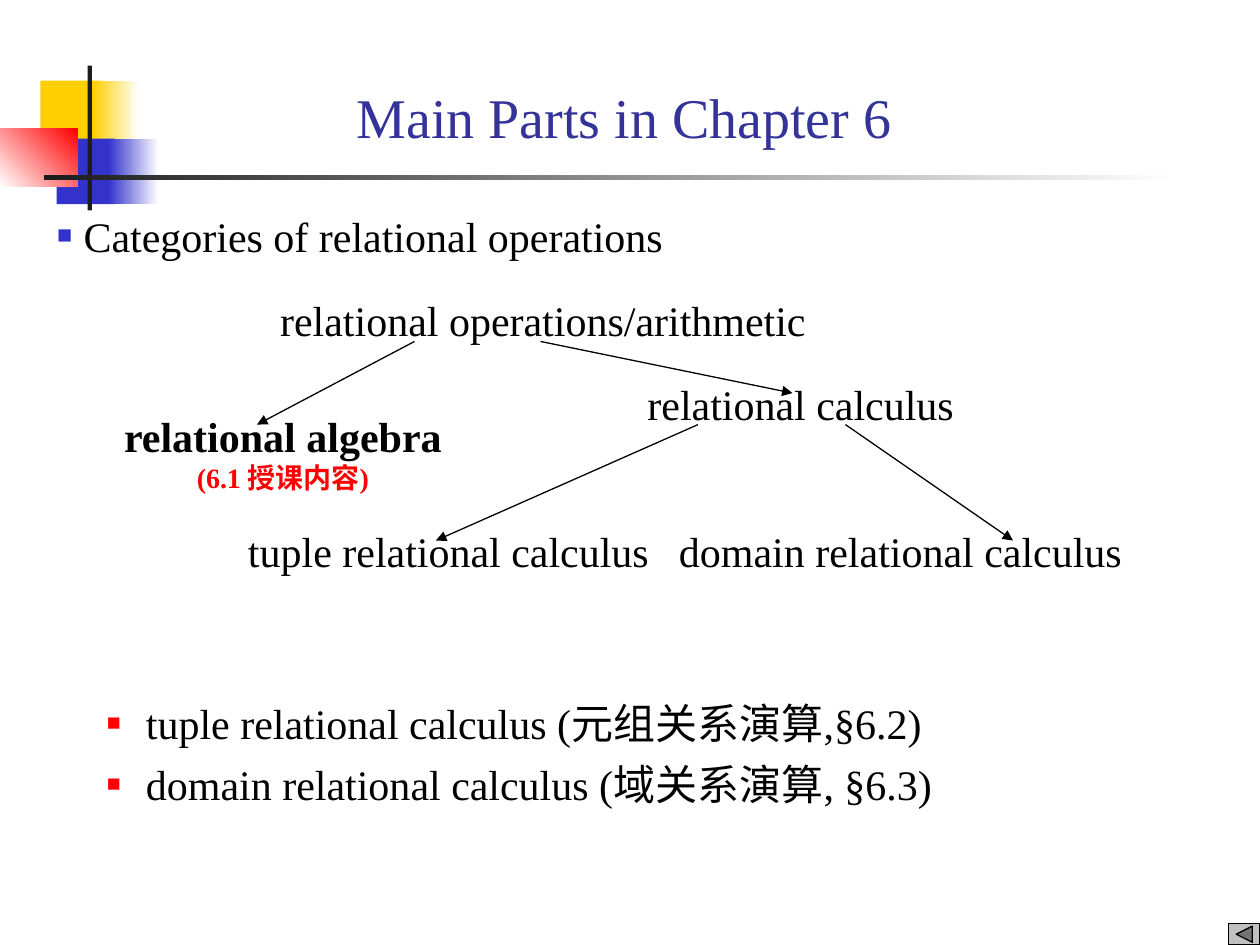
from lxml import etree
from pptx import Presentation
from pptx.dml.color import RGBColor
from pptx.enum.shapes import MSO_CONNECTOR, MSO_SHAPE
from pptx.enum.text import MSO_ANCHOR, PP_ALIGN
from pptx.oxml.ns import qn
from pptx.util import Inches, Pt

RECTANGLE = MSO_SHAPE.RECTANGLE
BACK_BUTTON = MSO_SHAPE.ACTION_BUTTON_BACK_OR_PREVIOUS
STRAIGHT = MSO_CONNECTOR.STRAIGHT
TOP, BOTTOM = MSO_ANCHOR.TOP, MSO_ANCHOR.BOTTOM
LEFT, CENTER = PP_ALIGN.LEFT, PP_ALIGN.CENTER

COLUMNS, ROWS = 40, 30
YELLOW, BLUE, RED = "FFCF01", "3333CC", "FF0000"
DARK, WHITE, BLACK, GRAY, NAVY = "1C1C1C", "FFFFFF", "000000", "C0C0C0", "333399"


def color(value):
    return RGBColor.from_string(value)


def add_element(parent, tag, **attributes):
    return etree.SubElement(parent, qn(tag), attributes)


class SlideBuilder:
    """Draws styled elements on one slide, placed by grid columns and rows."""

    font = {"name": "Times New Roman", "size": Pt(24), "bold": False}

    def __init__(self, presentation):
        self.column = presentation.slide_width / COLUMNS
        self.row = presentation.slide_height / ROWS
        self.slide = presentation.slides.add_slide(presentation.slide_layouts[6])

    def place(self, *lengths):
        units = (self.column, self.row) * 2
        return [round(length * unit) for length, unit in zip(lengths, units)]

    def block(self, box, start, end=None, angle=0, kind=RECTANGLE, outline=None):
        shape = self.slide.shapes.add_shape(kind, *self.place(*box))
        shape.shadow.inherit = False
        if end:
            shape.fill.gradient()
            shape.fill.gradient_angle = angle
            for stop, value in zip(shape.fill.gradient_stops, (start, end)):
                stop.color.rgb = color(value)
        else:
            shape.fill.solid()
            shape.fill.fore_color.rgb = color(start)
        if outline:
            shape.line.color.rgb = color(outline)
            shape.line.width = Pt(0.75)
        else:
            shape.line.fill.background()

    def text(self, box, lines, align=LEFT, anchor=TOP, gap=0, bullet=None):
        shape = self.slide.shapes.add_textbox(*self.place(*box))
        frame = shape.text_frame
        frame.word_wrap = True
        frame.vertical_anchor = anchor
        for index, (content, ink, changes) in enumerate(lines):
            paragraph = frame.add_paragraph() if index else frame.paragraphs[0]
            paragraph.text = content
            if bullet:
                self.bullet(paragraph, **bullet)
            paragraph.alignment = align
            paragraph.space_before = Pt(gap if index else 0)
            for name, value in {**self.font, **changes}.items():
                setattr(paragraph.font, name, value)
            paragraph.font.color.rgb = color(ink)

    def bullet(self, paragraph, ink, percent, margin, hanging):
        properties = paragraph._p.get_or_add_pPr()
        properties.set("marL", str(Inches(margin)))
        properties.set("indent", str(-Inches(hanging)))
        add_element(add_element(properties, "a:buClr"), "a:srgbClr", val=ink)
        add_element(properties, "a:buSzPct", val=str(percent * 1000))
        add_element(properties, "a:buFont", typeface=self.font["name"])
        add_element(properties, "a:buChar", char="■")

    def arrow(self, *ends):
        connector = self.slide.shapes.add_connector(STRAIGHT, *self.place(*ends))
        connector.line.color.rgb = color(BLACK)
        connector.line.width = Pt(0.75)
        add_element(connector.line._get_or_add_ln(), "a:tailEnd", type="triangle")
        add_element(connector._element.spPr, "a:effectLst")


def main():
    presentation = Presentation()
    presentation.slide_width, presentation.slide_height = Inches(10), Inches(7.5)
    builder = SlideBuilder(presentation)

    for block in (
        ((1.28, 2.56, 1.92, 2.08), YELLOW),
        ((2.96, 2.56, 1.44, 2.08), YELLOW, WHITE),
        ((1.8, 4.4, 1.84, 2.08), BLUE),
        ((3.44, 4.4, 1.6, 2.08), BLUE, WHITE),
        ((0, 4.08, 2.46, 1.84), WHITE, RED, 45),
        ((2.78, 2.08, 0.14, 4.6), DARK),
        ((1.4, 5.56, 36, 0.14), DARK, WHITE),
    ):
        builder.block(*block)

    builder.text((3, 0, 33.64, 4.96), [("Main Parts in Chapter 6", NAVY, {"size": Pt(32)})],
                 align=CENTER, anchor=BOTTOM)
    builder.text((1.42, 6.48, 36, 2), [("Categories of relational operations", BLACK, {})],
                 bullet={"ink": BLUE, "percent": 60, "margin": 0.21, "hanging": 0.21})

    for box, label in (
        ((8.5, 9.16, 18, 2), "relational operations/arithmetic"),
        ((20.16, 11.82, 11.5, 2), "relational calculus"),
        ((7.48, 16.48, 14, 2), "tuple relational calculus"),
        ((21.16, 16.48, 15.5, 2), "domain relational calculus"),
    ):
        builder.text(box, [(label, BLACK, {})])
    builder.text((3, 12.84, 11.96, 3.08), [
        ("relational algebra", BLACK, {"bold": True}),
        ("(6.1 授课内容)", RED, {"bold": True, "size": Pt(16)}),
    ], align=CENTER)

    for ends in (
        (13.16, 10.84, 8.16, 13.48),
        (17.16, 10.84, 25.16, 12.48),
        (22.16, 13.48, 13.84, 17.16),
        (26.84, 13.48, 32.16, 17.16),
    ):
        builder.arrow(*ends)

    builder.block((39, 29.32, 1, 0.68), GRAY, kind=BACK_BUTTON, outline=BLACK)
    builder.text((1, 21.94, 38, 6.38), [
        ("tuple relational calculus (元组关系演算,§6.2)", BLACK, {}),
        ("domain relational calculus (域关系演算, §6.3)", BLACK, {}),
    ], gap=6, bullet={"ink": RED, "percent": 55, "margin": 0.81, "hanging": 0.31})

    presentation.save("out.pptx")


if __name__ == "__main__":
    main()
